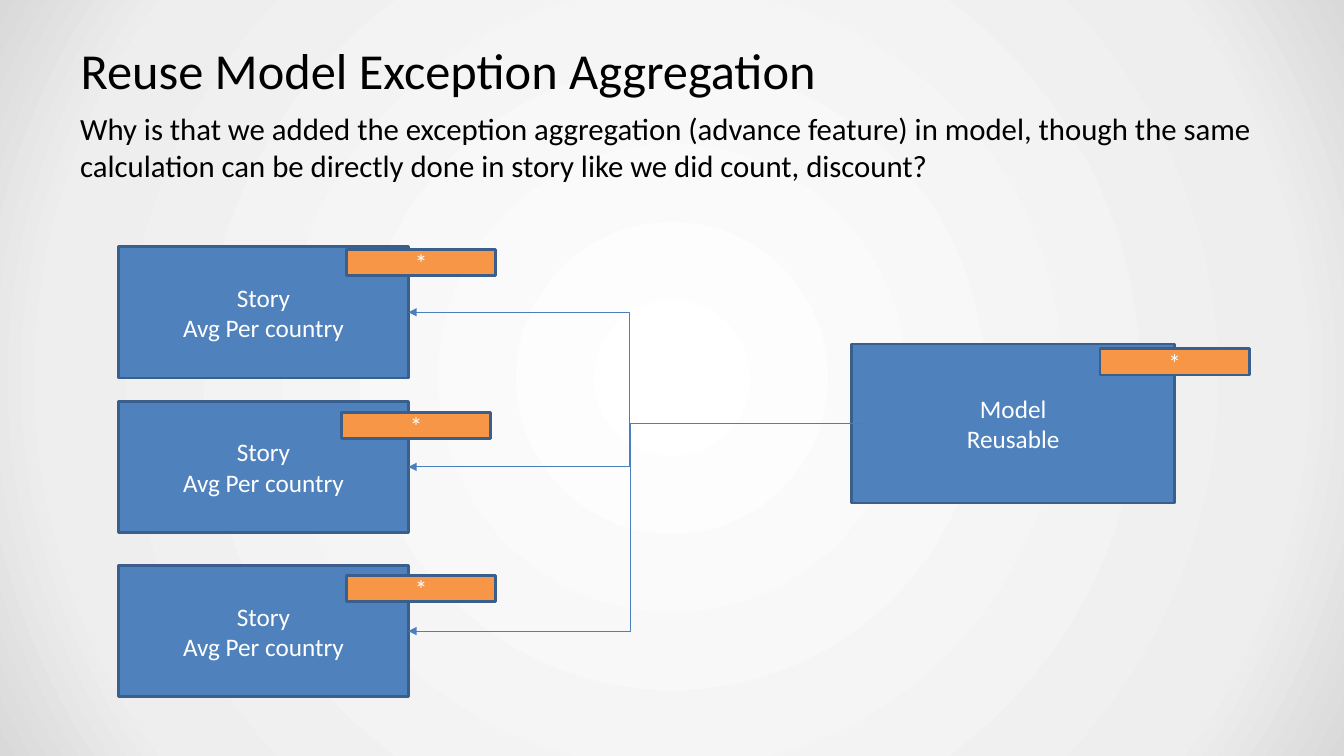
from lxml import etree
from pptx import Presentation
from pptx import util as u
from pptx.dml import color
from pptx.enum import shapes, text
from pptx.oxml import ns

COLORS = {
    "ink": "000000",
    "paper": "FFFFFF",
    "mist": "EEEEEE",
    "edge": "D9D9D9",
    "box": "4F81BD",
    "outline": "3A5F8C",
    "arrow": "4B7EBC",
    "badge": "F79646",
}


def add_element(parent, tag, **attributes):
    return etree.SubElement(parent, ns.qn(tag), attributes)


class Board:
    font = "Calibri"
    label_size = 18

    def __init__(self, slide):
        self.slide = slide

    def rgb(self, name):
        return color.RGBColor.from_string(COLORS[name])

    def background(self, stops):
        self.slide.background.fill.gradient()
        gradient = self.slide.element.find(".//" + ns.qn("a:gradFill"))
        for child in list(gradient):
            gradient.remove(child)
        stop_list = add_element(gradient, "a:gsLst")
        for percent, name in stops:
            stop = add_element(stop_list, "a:gs", pos=str(percent * 1000))
            add_element(stop, "a:srgbClr", val=COLORS[name])
        radial = add_element(gradient, "a:path", path="circle")
        add_element(radial, "a:fillToRect", l="50000", t="50000", r="50000", b="50000")

    def fill_text(self, frame, lines, size, ink, align):
        frame.word_wrap = True
        for index, line in enumerate(lines):
            paragraph = frame.add_paragraph() if index else frame.paragraphs[0]
            paragraph.alignment = align
            run = paragraph.add_run()
            run.text = line
            run.font.name = self.font
            run.font.size = u.Pt(size)
            run.font.color.rgb = self.rgb(ink)

    def passage(self, left, top, width, height, words, size, anchor):
        frame = self.slide.shapes.add_textbox(
            u.Pt(left), u.Pt(top), u.Pt(width), u.Pt(height)).text_frame
        frame.margin_left = frame.margin_right = u.Pt(9.6)
        frame.margin_top = frame.margin_bottom = u.Pt(4.8)
        frame.vertical_anchor = anchor
        self.fill_text(frame, [words], size, "ink", text.PP_ALIGN.LEFT)

    def box(self, left, top, width, height, lines, fill="box"):
        shape = self.slide.shapes.add_shape(
            shapes.MSO_SHAPE.RECTANGLE, u.Pt(left), u.Pt(top), u.Pt(width), u.Pt(height))
        shape.shadow.inherit = False
        shape.fill.solid()
        shape.fill.fore_color.rgb = self.rgb(fill)
        shape.line.color.rgb = self.rgb("outline")
        shape.line.width = u.Pt(2)
        shape.text_frame.vertical_anchor = text.MSO_ANCHOR.MIDDLE
        self.fill_text(shape.text_frame, lines, self.label_size, "paper",
                       text.PP_ALIGN.CENTER)
        return shape

    def badge(self, left, top):
        self.box(left, top, 106.6, 18.7, ["*"], "badge")

    def arrow(self, source, target, overlap=0):
        start = source.left + u.Pt(overlap)
        end = target.left + target.width
        link = self.slide.shapes.add_connector(
            shapes.MSO_CONNECTOR.ELBOW,
            start, source.top + source.height // 2,
            end, target.top + target.height // 2)
        if not overlap:
            link.begin_connect(source, 1)
        link.end_connect(target, 3)
        link.line.color.rgb = self.rgb("arrow")
        link.line.width = u.Pt(0.75)
        properties = link.element.spPr
        add_element(properties.find(ns.qn("a:ln")), "a:tailEnd", type="triangle")
        add_element(properties, "a:effectLst")
        bend = (start - (source.left + end) / 2) / (start - end)
        guides = properties.find(ns.qn("a:prstGeom")).find(ns.qn("a:avLst"))
        add_element(guides, "a:gd", name="adj1", fmla=f"val {round(bend * 100000)}")


def main():
    deck = Presentation()
    deck.slide_width, deck.slide_height = u.Pt(960), u.Pt(540)
    board = Board(deck.slides.add_slide(deck.slide_layouts[6]))
    board.background([(0, "paper"), (81, "mist"), (100, "edge")])

    board.passage(48, 21.6, 864, 56.2, "Reuse Model Exception Aggregation",
                  36, text.MSO_ANCHOR.MIDDLE)
    board.passage(47.7, 73.4, 864, 77,
                  "Why is that we added the exception aggregation (advance feature) in model, "
                  "though the same calculation can be directly done in story like we did "
                  "count, discount?", 22, text.MSO_ANCHOR.TOP)

    stories = [board.box(84.7, top, 207, 93.8, ["Story", "Avg Per country"])
               for top in (176.2, 286.6, 403.9)]
    model = board.box(608.2, 245.8, 231, 113.5, ["Model", "Reusable"])

    for story, overlap in zip(stories, (0, 0, 10)):
        board.arrow(model, story, overlap)

    for left, top in ((785.7, 249.2), (247.5, 178), (243.9, 294.5), (247.5, 411)):
        board.badge(left, top)

    deck.save("out.pptx")


if __name__ == "__main__":
    main()
